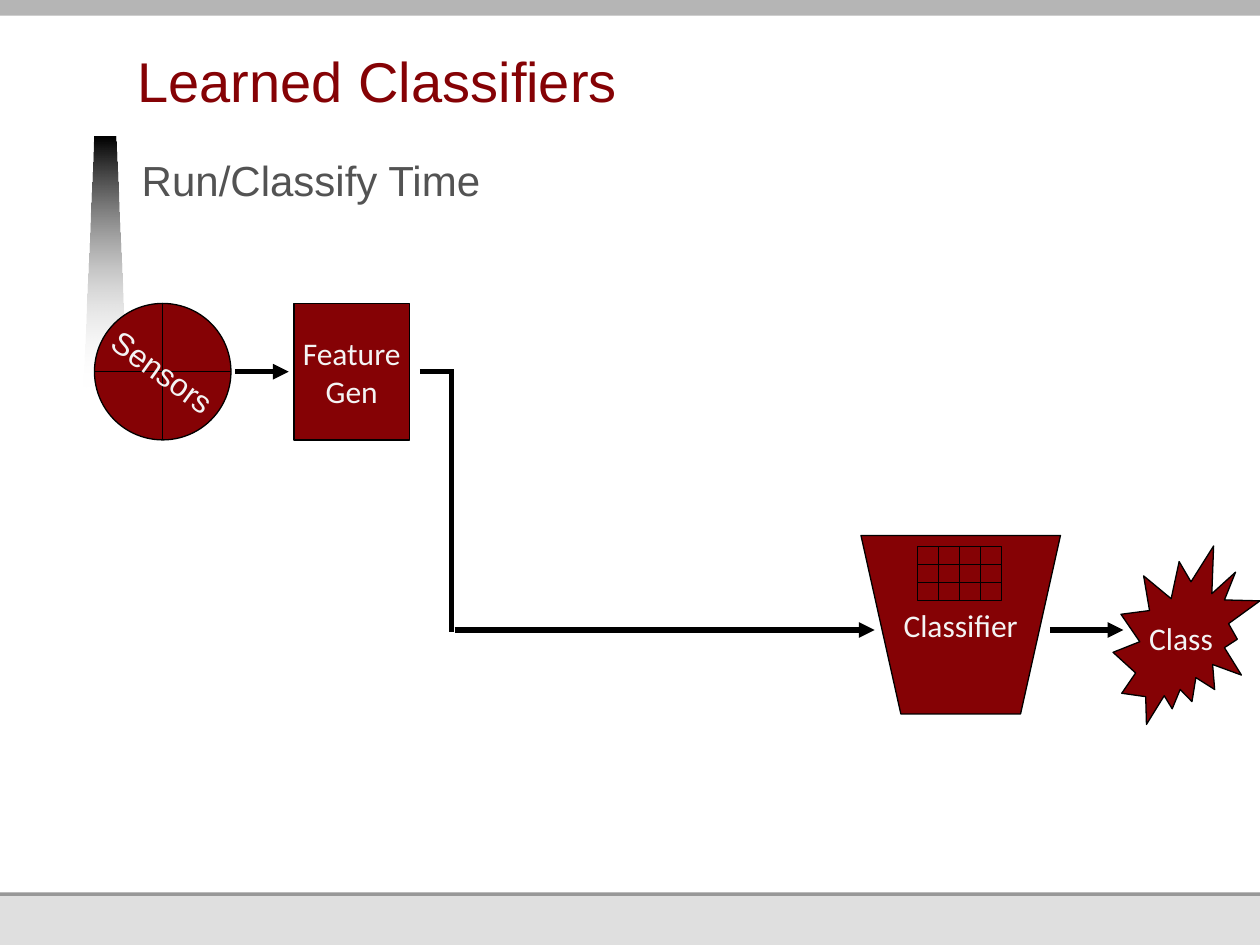
from dataclasses import dataclass
from itertools import product
from typing import Optional

from lxml import etree
from pptx import Presentation
from pptx.dml.color import RGBColor
from pptx.enum import shapes, text
from pptx.oxml.ns import qn
from pptx.util import Inches, Pt

COLS, ROWS = 120, 90
RED, PALE, BLACK = "850205", "F4F4F4", "000000"
Kind = shapes.MSO_SHAPE
Align, Anchor = text.PP_ALIGN, text.MSO_ANCHOR

deck = Presentation()
deck.slide_width, deck.slide_height = Inches(10), Inches(7.5)
CELL = deck.slide_width / COLS
page = deck.slides.add_slide(deck.slide_layouts[6]).shapes


@dataclass
class Box:
    x: float
    y: float
    w: float
    h: float
    kind: Kind = Kind.RECTANGLE
    fill: Optional[str] = RED
    line: float = 0.75
    label: str = ""


@dataclass
class Note:
    x: float
    y: float
    w: float
    h: float
    words: str
    size: int
    tint: str
    align: Align = Align.LEFT
    anchor: Anchor = Anchor.TOP
    pads: tuple = (0, 0, 0, 0.05)
    turn: float = 0
    lead: Optional[int] = None


@dataclass
class Link:
    x: float
    y: float
    to_x: float
    to_y: float
    head: bool = False


def grid(*spans: float) -> list[int]:
    return [round(span * CELL) for span in spans]


def shade(part, tint: str) -> None:
    part.rgb = RGBColor.from_string(tint)


def write(para, words: str, size: int, font: str, tint: str) -> None:
    for i, row in enumerate(words.split("\n")):
        if i:
            para.add_line_break()
        run = para.add_run()
        run.text = row
        run.font.size, run.font.name = Pt(size), font
        shade(run.font.color, tint)


def draw_box(box: Box) -> None:
    form = page.add_shape(box.kind, *grid(box.x, box.y, box.w, box.h))
    form.shadow.inherit = False
    if box.fill:
        form.fill.solid()
        shade(form.fill.fore_color, box.fill)
    else:
        form.fill.background()
    if box.line:
        form.line.width = Pt(box.line)
        shade(form.line.color, BLACK)
    else:
        form.line.fill.background()
    if box.label:
        frame = form.text_frame
        frame.word_wrap = False
        frame.vertical_anchor = Anchor.MIDDLE
        para = frame.paragraphs[0]
        para.alignment = Align.CENTER
        write(para, box.label, 18, "Calibri", PALE)


def draw_note(note: Note) -> None:
    form = page.add_textbox(*grid(note.x, note.y, note.w, note.h))
    form.rotation = note.turn
    frame = form.text_frame
    frame.word_wrap = True
    frame.vertical_anchor = note.anchor
    (frame.margin_left, frame.margin_top,
     frame.margin_right, frame.margin_bottom) = map(Inches, note.pads)
    para = frame.paragraphs[0]
    para.alignment = note.align
    if note.lead:
        para.line_spacing = Pt(note.lead)
    write(para, note.words, note.size, "Arial", note.tint)


def draw_link(link: Link) -> None:
    form = page.add_connector(shapes.MSO_CONNECTOR.STRAIGHT,
                              *grid(link.x, link.y, link.to_x, link.to_y))
    form.line.width = Pt(3)
    shade(form.line.color, BLACK)
    if link.head:
        etree.SubElement(form.line._get_or_add_ln(), qn("a:tailEnd"), type="triangle")
    etree.SubElement(form._element.spPr, qn("a:effectLst"))


def draw_beam(start: tuple, *rest: tuple) -> None:
    pen = page.build_freeform(*start, scale=CELL)
    pen.add_line_segments(rest, close=True)
    form = pen.convert_to_shape()
    form.shadow.inherit = False
    form.line.fill.background()
    form.fill.gradient()
    form.fill.gradient_angle = 270
    for stop, tint, spot in zip(form.fill.gradient_stops, (BLACK, "FFFFFF"), (0, 1)):
        shade(stop.color, tint)
        stop.position = spot
    clear = form._element.spPr.findall(".//" + qn("a:srgbClr"))[-1]
    etree.SubElement(clear, qn("a:alpha"), val="0")


BANDS = [
    Box(0, 85, COLS, 0.35, fill="989898", line=0),
    Box(0, 85.35, COLS, ROWS - 85.35, fill="DFDFDF", line=0),
    Box(0, 0, COLS, 1.5, fill="B5B5B5", line=0),
]
STEPS = [
    Box(82, 51, 19, 17, Kind.FLOWCHART_MANUAL_OPERATION, label="Classifier"),
    *(Box(87.4 + 2 * col, 52 + 1.74 * row, 2, 1.74, fill=None, line=0.25)
      for row, col in product(range(3), range(4))),
    Box(9, 28.9, 13, 13, Kind.FLOWCHART_OR),
    Box(28, 28.9, 11, 13, label="Feature\nGen"),
    Box(106, 52, 14, 17, Kind.EXPLOSION2, label="Class"),
]
LINKS = [
    Link(22.4, 35.4, 27.5, 35.4, True),
    Link(40, 35.4, 43, 35.4),
    Link(43, 35.15, 43, 60.15),
    Link(43.3, 60, 83.3, 60, True),
    Link(100, 60, 107, 60, True),
]
NOTES = [
    Note(5, 33, 21, 4.8, "Sensors", 18, PALE, Align.CENTER,
         pads=(0.1, 0.05, 0.1, 0.05), turn=35.9),
    Note(13.1, 2, 106.9, 9.4, "Learned Classifiers", 32, RED,
         anchor=Anchor.BOTTOM, lead=34),
    Note(13.5, 14.7, 54, 66, "Run/Classify Time", 24, "535353"),
]

for band in BANDS:
    draw_box(band)
draw_beam((8, 36.6), (9.1, 13), (11.4, 13), (12.5, 36.6))
for step in STEPS:
    draw_box(step)
for link in LINKS:
    draw_link(link)
for note in NOTES:
    draw_note(note)

deck.save("out.pptx")
